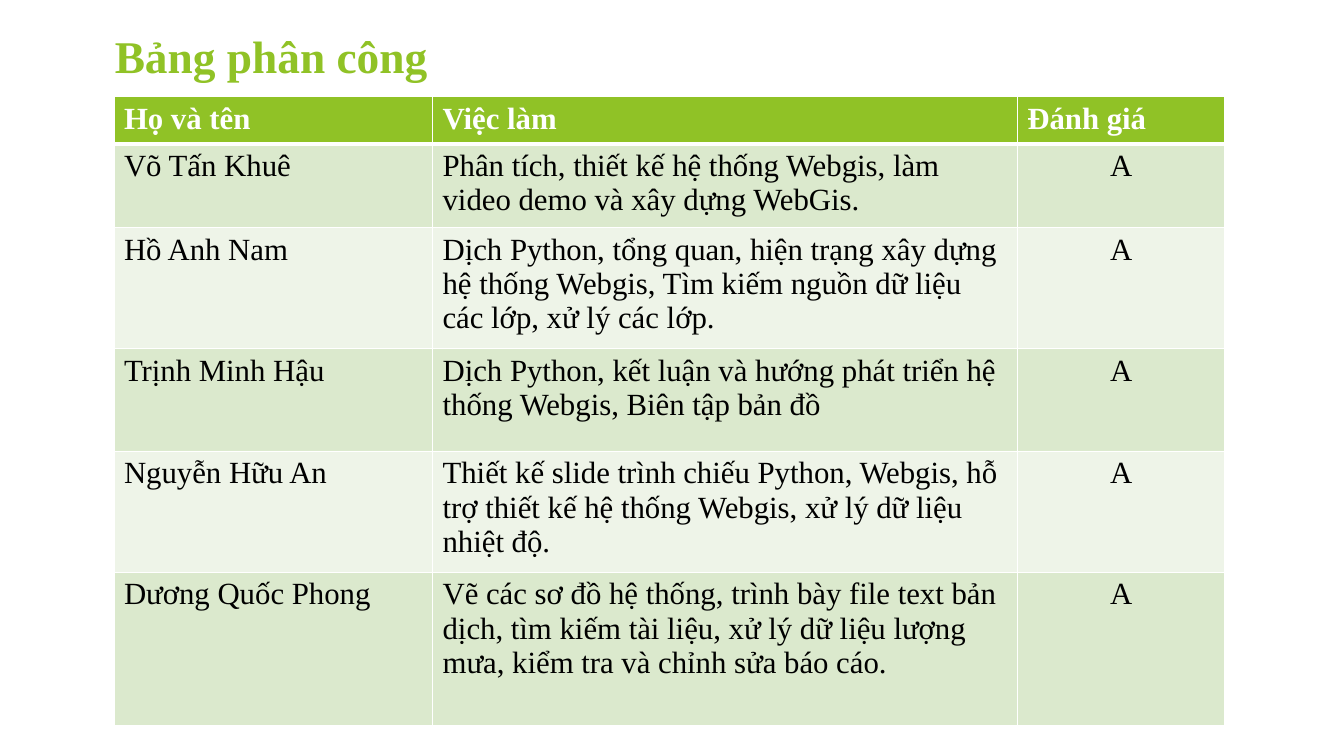
"""Build the slide with the team's work assignment table."""
from dataclasses import dataclass

from lxml import etree
from pptx import Presentation
from pptx.dml.color import RGBColor
from pptx.enum.text import MSO_ANCHOR, PP_ALIGN
from pptx.oxml.ns import qn
from pptx.util import Inches, Pt

MIDDLE, TOP = MSO_ANCHOR.MIDDLE, MSO_ANCHOR.TOP
LEFT, CENTER = PP_ALIGN.LEFT, PP_ALIGN.CENTER
FONT = "Times New Roman"
GREEN, WHITE, BLACK = "90C226", "FFFFFF", "000000"
BANDS = ("DBE9CD", "EEF4E8")
HEADINGS = ("Họ và tên", "Việc làm", "Đánh giá")
COLUMN_WIDTHS = (3.16, 5.8, 2.06)
HEADER_HEIGHT = 0.45


@dataclass(frozen=True)
class Member:
    name: str
    work: str
    height: float
    grade: str = "A"


MEMBERS = (
    Member("Võ Tấn Khuê",
           "Phân tích, thiết kế hệ thống Webgis, làm video demo và xây dựng WebGis.", 0.81),
    Member("Hồ Anh Nam",
           "Dịch Python, tổng quan, hiện trạng xây dựng hệ thống Webgis, "
           "Tìm kiếm nguồn dữ liệu các lớp, xử lý các lớp.", 1.16),
    Member("Trịnh Minh Hậu",
           "Dịch Python, kết luận và hướng phát triển hệ thống Webgis, Biên tập bản đồ", 1.02),
    Member("Nguyễn Hữu An",
           "Thiết kế slide trình chiếu Python, Webgis, hỗ trợ thiết kế hệ thống Webgis, "
           "xử lý dữ liệu nhiệt độ.", 1.19),
    Member("Dương Quốc Phong",
           "Vẽ các sơ đồ hệ thống, trình bày file text bản dịch, tìm kiếm tài liệu, "
           "xử lý dữ liệu lượng mưa, kiểm tra và chỉnh sửa báo cáo.", 1.52),
)


def color(value: str) -> RGBColor:
    return RGBColor.from_string(value)


def write(frame, text: str, *, size: float, ink: str, bold: bool = False,
          align: PP_ALIGN = LEFT) -> None:
    frame.word_wrap = True
    para = frame.paragraphs[0]
    para.alignment = align
    span = para.add_run()
    span.text = text
    span.font.name = FONT
    span.font.size = Pt(size)
    span.font.bold = bold
    span.font.color.rgb = color(ink)


def add_borders(cell, top: float, bottom: float) -> None:
    properties = cell._tc.get_or_add_tcPr()
    widths = {"a:lnL": 1, "a:lnR": 1, "a:lnT": top, "a:lnB": bottom}
    for index, (tag, width) in enumerate(widths.items()):
        line = etree.Element(qn(tag), w=str(Pt(width)))
        fill = etree.SubElement(line, qn("a:solidFill"))
        etree.SubElement(fill, qn("a:srgbClr"), val=WHITE)
        properties.insert(index, line)


def add_title(page) -> None:
    box = page.shapes.add_textbox(Inches(1.04), Inches(0.22), Inches(9.4), Inches(0.66))
    box.text_frame.vertical_anchor = MIDDLE
    write(box.text_frame, "Bảng phân công", size=32.4, ink=GREEN, bold=True)


def add_assignments(page) -> None:
    heights = (HEADER_HEIGHT, *(member.height for member in MEMBERS))
    contents = (HEADINGS, *((member.name, member.work, member.grade) for member in MEMBERS))
    table = page.shapes.add_table(
        len(contents), len(HEADINGS), Inches(1.13), Inches(0.96),
        Inches(sum(COLUMN_WIDTHS)), Inches(sum(heights))).table
    for column, width in zip(table.columns, COLUMN_WIDTHS):
        column.width = Inches(width)
    for row_index, (height, texts) in enumerate(zip(heights, contents)):
        table.rows[row_index].height = Inches(height)
        header = row_index == 0
        for column_index, text in enumerate(texts):
            cell = table.cell(row_index, column_index)
            cell.vertical_anchor = TOP
            cell.fill.solid()
            cell.fill.fore_color.rgb = color(GREEN if header else BANDS[(row_index - 1) % 2])
            add_borders(cell, top=3 if row_index == 1 else 1, bottom=3 if header else 1)
            graded = not header and column_index == len(HEADINGS) - 1
            write(cell.text_frame, text, size=22, ink=WHITE if header else BLACK,
                  bold=header, align=CENTER if graded else LEFT)


def main() -> None:
    deck = Presentation()
    deck.slide_width, deck.slide_height = Inches(13.33), Inches(7.5)
    page = deck.slides.add_slide(deck.slide_layouts[6])
    add_title(page)
    add_assignments(page)
    deck.save("out.pptx")


if __name__ == "__main__":
    main()
